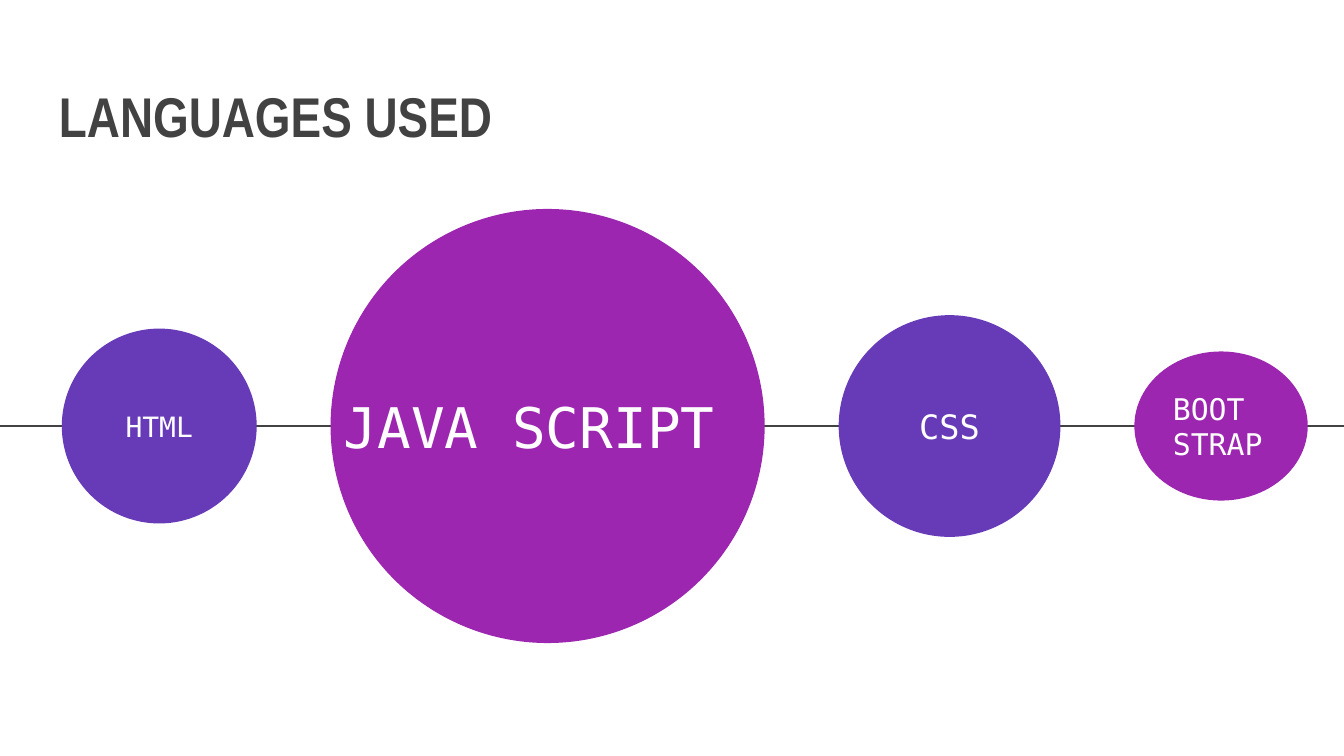
from dataclasses import dataclass

from lxml import etree
from pptx import Presentation
from pptx.dml.color import RGBColor
from pptx.enum import shapes, text
from pptx.oxml import ns
from pptx.util import Inches, Pt


@dataclass(frozen=True)
class Theme:
    ink: RGBColor = RGBColor(0x42, 0x42, 0x42)
    violet: RGBColor = RGBColor(0x67, 0x3A, 0xB7)
    magenta: RGBColor = RGBColor(0x9C, 0x26, 0xB0)
    white: RGBColor = RGBColor(0xFF, 0xFF, 0xFF)
    title_font: str = "Arial Narrow"
    label_font: str = "DejaVu Sans Mono"
    title_size: int = 30
    html_size: int = 15
    script_size: int = 30
    css_size: int = 18
    bootstrap_size: int = 16
    line_width: float = 1.5


THEME = Theme()
SLIDE_WIDTH = 10
SLIDE_HEIGHT = SLIDE_WIDTH * 9 / 16
AXIS_Y = 3.17
FIRST_LEFT, GAP = 0.46, 0.55
LABEL_HEIGHT = 0.66
LEFT, CENTER = text.PP_ALIGN.LEFT, text.PP_ALIGN.CENTER


def write_text(shape, content, *, size, color=THEME.white, font=THEME.label_font,
               bold=False, align=LEFT, anchor=text.MSO_ANCHOR.MIDDLE):
    """Fill a shape with text, one paragraph for each line of content."""
    frame = shape.text_frame
    frame.word_wrap = True
    frame.vertical_anchor = anchor
    frame.margin_left = frame.margin_right = Inches(0.1)
    frame.margin_top = frame.margin_bottom = Inches(0.1)
    frame.text = content
    for paragraph in frame.paragraphs:
        paragraph.alignment = align
        paragraph.font.size = Pt(size)
        paragraph.font.name = font
        paragraph.font.bold = bold
        paragraph.font.color.rgb = color


def add_text_box(slide, left, top, width, height, content, **text_format):
    box = slide.shapes.add_textbox(
        Inches(left), Inches(top), Inches(width), Inches(height))
    write_text(box, content, **text_format)


def add_axis(slide):
    axis = slide.shapes.add_connector(
        shapes.MSO_CONNECTOR.STRAIGHT,
        Inches(-0.01), Inches(AXIS_Y), Inches(SLIDE_WIDTH), Inches(AXIS_Y))
    axis.line.color.rgb = THEME.ink
    axis.line.width = Pt(THEME.line_width)
    etree.SubElement(axis.element.spPr, ns.qn("a:effectLst"))


def add_bubble(slide, left, width, height, color):
    """Add an ellipse centred on the axis."""
    bubble = slide.shapes.add_shape(
        shapes.MSO_SHAPE.OVAL, Inches(left), Inches(AXIS_Y - height / 2),
        Inches(width), Inches(height))
    bubble.shadow.inherit = False
    bubble.fill.solid()
    bubble.fill.fore_color.rgb = color
    bubble.line.fill.background()
    return bubble


def main():
    presentation = Presentation()
    presentation.slide_width = Inches(SLIDE_WIDTH)
    presentation.slide_height = Inches(SLIDE_HEIGHT)
    slide = presentation.slides.add_slide(presentation.slide_layouts[6])

    add_axis(slide)
    add_text_box(slide, 0.34, 0.41, 9.32, 0.8, "LANGUAGES USED",
                 size=THEME.title_size, color=THEME.ink, font=THEME.title_font,
                 bold=True, anchor=text.MSO_ANCHOR.BOTTOM)

    languages = [
        ("HTML", 1.45, THEME.violet, THEME.html_size, CENTER),
        ("JAVA SCRIPT", 3.23, THEME.magenta, THEME.script_size, LEFT),
        ("CSS", 1.65, THEME.violet, THEME.css_size, CENTER),
    ]
    left = FIRST_LEFT
    for name, diameter, color, size, align in languages:
        add_bubble(slide, left, diameter, diameter, color)
        add_text_box(slide, left, AXIS_Y - LABEL_HEIGHT / 2, diameter,
                     LABEL_HEIGHT, name, size=size, align=align)
        left += diameter + GAP

    bootstrap = add_bubble(slide, left, 1.29, 1.11, THEME.magenta)
    write_text(bootstrap, "BOOT\nSTRAP", size=THEME.bootstrap_size)

    presentation.save("out.pptx")


if __name__ == "__main__":
    main()
